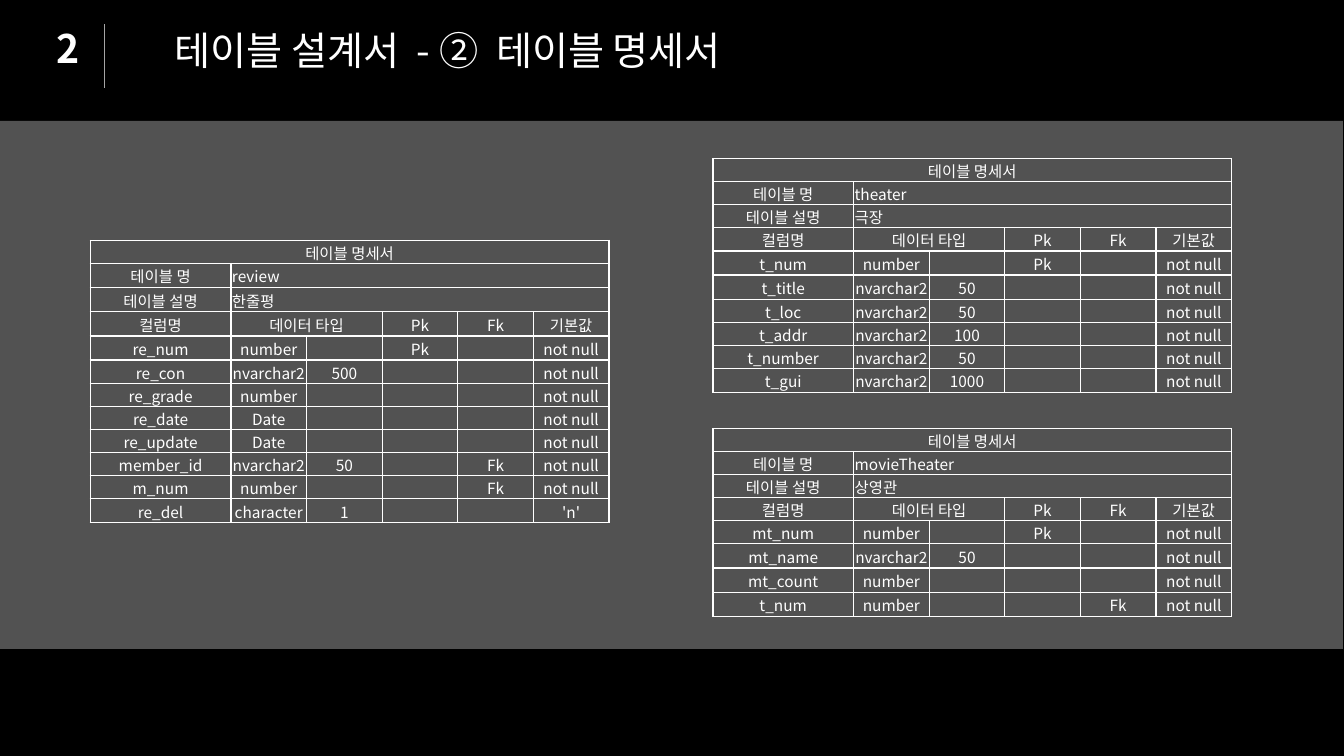
from dataclasses import dataclass

from lxml import etree
from pptx import Presentation
from pptx.dml.color import RGBColor
from pptx.enum.shapes import MSO_CONNECTOR, MSO_SHAPE
from pptx.enum.text import MSO_ANCHOR, MSO_AUTO_SIZE, PP_ALIGN
from pptx.oxml.ns import qn
from pptx.util import Pt

LINE = MSO_CONNECTOR.STRAIGHT
RECT = MSO_SHAPE.RECTANGLE
MIDDLE = MSO_ANCHOR.MIDDLE
GROW = MSO_AUTO_SIZE.SHAPE_TO_FIT_TEXT
LEFT, CENTER, RIGHT = PP_ALIGN.LEFT, PP_ALIGN.CENTER, PP_ALIGN.RIGHT

COLORS = {"back": "000000", "gray": "A5A5A5", "white": "FFFFFF"}
FONT = "Noto Sans CJK KR"
SCALE = 9525
COLS = (134, 72, 72, 72, 72, 72)
LOW, TALL = 22, 23
BORDERS = ("a:lnL", "a:lnR", "a:lnT", "a:lnB")


@dataclass
class Run:
    text: str
    gap: int = 0  # extra letter spacing, in hundredths of a point


@dataclass
class Label:
    x: int
    y: int
    w: int
    h: int
    runs: list[Run]
    align: PP_ALIGN
    bold: bool = False


@dataclass
class Spec:
    x: int
    y: int
    name: str
    note: str
    tall: set[int]  # indices of the taller rows
    fields: list[tuple[str, ...]]  # column, type, length, pk, fk, default


LABELS = [
    Label(44, 23, 42, 55, [Run("2")], LEFT, True),
    Label(92, 25, 604, 55, [
        Run("테이블 설계서"), Run(" ", 630), Run("- ②"), Run(" ", 630),
        Run("테이블 명세서"),
    ], RIGHT),
]

SPECS = [
    Spec(679, 151, "theater", "극장", {4, 5, 9}, [
        ("t_num", "number", "", "Pk", "", "not null"),
        ("t_title", "nvarchar2", "50", "", "", "not null"),
        ("t_loc", "nvarchar2", "50", "", "", "not null"),
        ("t_addr", "nvarchar2", "100", "", "", "not null"),
        ("t_number", "nvarchar2", "50", "", "", "not null"),
        ("t_gui", "nvarchar2", "1000", "", "", "not null"),
    ]),
    Spec(679, 408, "movieTheater", "상영관", {5, 6, 7}, [
        ("mt_num", "number", "", "Pk", "", "not null"),
        ("mt_name", "nvarchar2", "50", "", "", "not null"),
        ("mt_count", "number", "", "", "", "not null"),
        ("t_num", "number", "", "", "Fk", "not null"),
    ]),
    Spec(86, 229, "review", "한줄평", {1, 2, 3, 4, 11}, [
        ("re_num", "number", "", "Pk", "", "not null"),
        ("re_con", "nvarchar2", "500", "", "", "not null"),
        ("re_grade", "number", "", "", "", "not null"),
        ("re_date", "Date", "", "", "", "not null"),
        ("re_update", "Date", "", "", "", "not null"),
        ("member_id", "nvarchar2", "50", "", "Fk", "not null"),
        ("m_num", "number", "", "", "Fk", "not null"),
        ("re_del", "character", "1", "", "", "'n'"),
    ]),
]


def px(n: int) -> int:
    return n * SCALE


def color(key: str) -> RGBColor:
    return RGBColor.from_string(COLORS[key])


def add_run(para, part: Run, size: int, bold: bool = False) -> None:
    run = para.add_run()
    run.text = part.text
    font = run.font
    font.size, font.name, font.bold = Pt(size), FONT, bold
    font.color.rgb = color("white")
    props = run._r.get_or_add_rPr()
    etree.SubElement(props, qn("a:ea")).set("typeface", FONT)
    if part.gap:
        props.set("spc", str(part.gap))


def add_label(slide, item: Label) -> None:
    box = slide.shapes.add_textbox(px(item.x), px(item.y), px(item.w), px(item.h))
    frame = box.text_frame
    frame.word_wrap = True
    frame.auto_size = GROW
    frame.margin_top = frame.margin_bottom = 0
    para = frame.paragraphs[0]
    para.alignment = item.align
    for part in item.runs:
        add_run(para, part, 28, item.bold)


def set_cell(cell, text: str, align: PP_ALIGN) -> None:
    cell.margin_left = cell.margin_right = cell.margin_top = px(1)
    cell.margin_bottom = 0
    cell.vertical_anchor = MIDDLE
    para = cell.text_frame.paragraphs[0]
    para.alignment = align
    if text:
        add_run(para, Run(text), 11)
    else:
        end = etree.SubElement(para._p, qn("a:endParaRPr"))
        end.set("sz", "1100")
        for tag in ("a:latin", "a:ea"):
            etree.SubElement(end, qn(tag)).set("typeface", FONT)

    # Borders come before the fill in the cell properties
    props = cell._tc.get_or_add_tcPr()
    for tag in BORDERS:
        edge = etree.SubElement(props, qn(tag), w=str(Pt(1)))
        fill = etree.SubElement(edge, qn("a:solidFill"))
        etree.SubElement(fill, qn("a:srgbClr")).set("val", COLORS["white"])
    cell.fill.background()


def add_spec(slide, spec: Spec) -> None:
    rows = [
        ("테이블 명세서", "", "", "", "", ""),
        ("테이블 명", spec.name, "", "", "", ""),
        ("테이블 설명", spec.note, "", "", "", ""),
        ("컬럼명", "데이터 타입", "", "Pk", "Fk", "기본값"),
        *spec.fields,
    ]
    sizes = [TALL if r in spec.tall else LOW for r in range(len(rows))]
    frame = slide.shapes.add_table(
        len(rows), len(COLS), px(spec.x), px(spec.y), px(sum(COLS)), px(sum(sizes)))
    table = frame.table
    table.first_row = table.horz_banding = False
    for col, width in zip(table.columns, COLS):
        col.width = px(width)
    for r, row in enumerate(rows):
        table.rows[r].height = px(sizes[r])
        for c, text in enumerate(row):
            align = LEFT if r in (1, 2) and c == 1 else CENTER
            set_cell(table.cell(r, c), text, align)
    for r, first, last in ((0, 0, 5), (1, 1, 5), (2, 1, 5), (3, 1, 2)):
        table.cell(r, first).merge(table.cell(r, last))


def add_band(slide) -> None:
    band = slide.shapes.add_shape(RECT, px(-1), px(115), px(1280), px(503))
    band.shadow.inherit = False
    band.fill.solid()
    band.fill.fore_color.rgb = color("gray")
    band.line.fill.background()
    tint = band._element.spPr.find(".//" + qn("a:srgbClr"))
    etree.SubElement(tint, qn("a:alpha")).set("val", "50000")


def add_rule(slide) -> None:
    rule = slide.shapes.add_connector(LINE, px(99), px(23), px(99), px(84))
    rule.line.color.rgb = color("gray")
    rule.line.width = Pt(0.5)
    etree.SubElement(rule._element.spPr, qn("a:effectLst"))


def main() -> None:
    deck = Presentation()
    deck.slide_width, deck.slide_height = px(1280), px(720)
    slide = deck.slides.add_slide(deck.slide_layouts[6])
    slide.background.fill.solid()
    slide.background.fill.fore_color.rgb = color("back")

    # Backdrop and heading
    add_band(slide)
    add_rule(slide)
    for item in LABELS:
        add_label(slide, item)

    # Table specifications
    for spec in SPECS:
        add_spec(slide, spec)
    deck.save("out.pptx")


if __name__ == "__main__":
    main()
